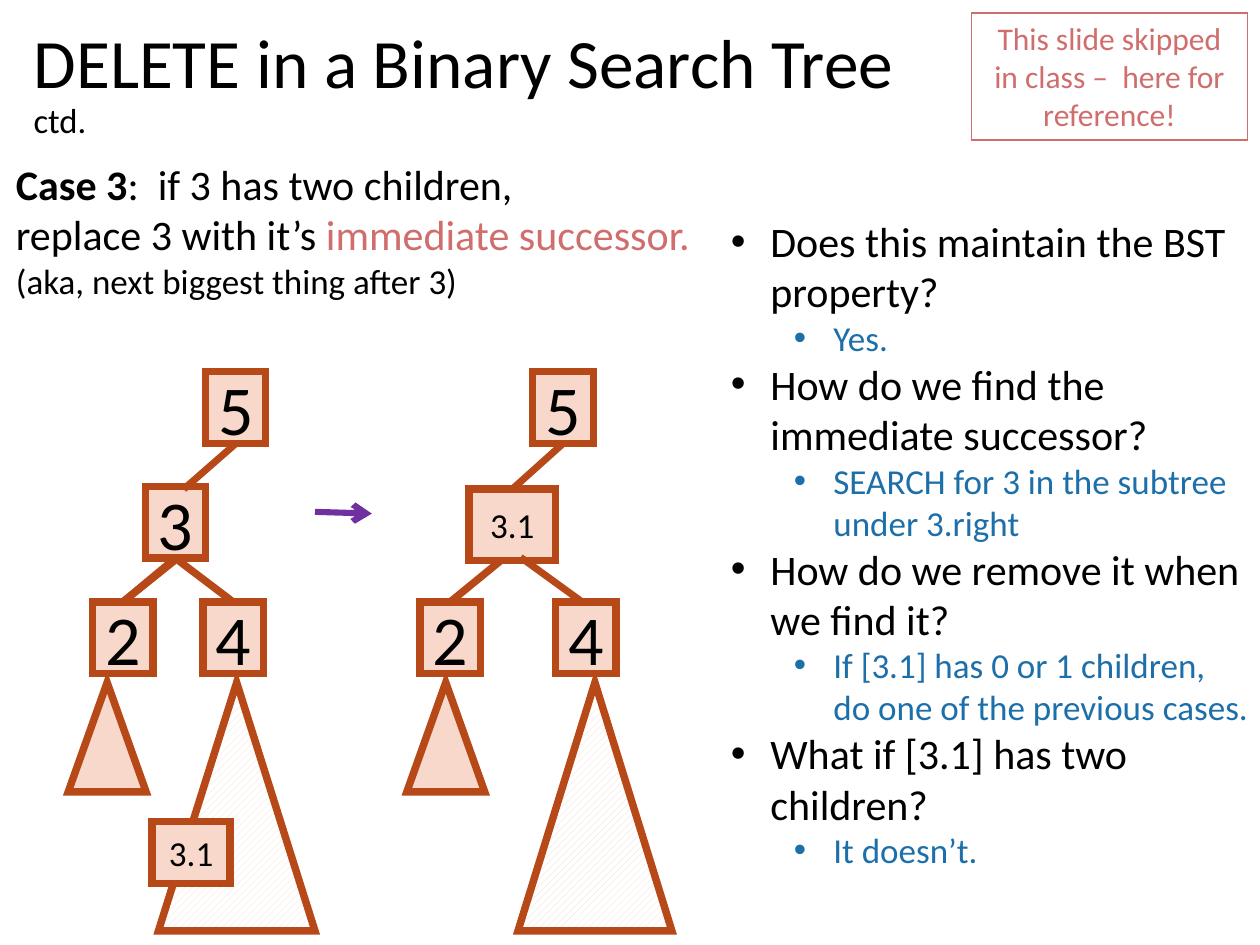
import pptx
import pptx.dml.color
import pptx.enum.dml
import pptx.enum.shapes
import pptx.enum.text
import pptx.oxml.ns
import pptx.util
from lxml import etree

Pt = pptx.util.Pt
SHAPES = pptx.enum.shapes.MSO_SHAPE
ANCHOR = pptx.enum.text.MSO_ANCHOR
ALIGN = pptx.enum.text.PP_ALIGN
AUTO_SIZE = pptx.enum.text.MSO_AUTO_SIZE

FONT = "Calibri"
COLORS = {
    "text": "000000",
    "answer": "1D6FA9",
    "accent": "CF6E6C",
    "node": "F8D8CA",
    "edge": "B74919",
    "arrow": "7030A0",
    "paper": "FFFFFF",
}
NODE_WIDTH, NODE_HEIGHT = 34.5, 41
LEAF_TOP, SUBTREE_TOP = 344, 390
TOP, BOTTOM = 0, 2

QUESTIONS = [
    ("Does this maintain the BST property?", "Yes."),
    ("How do we find the immediate successor?",
     "SEARCH for 3 in the subtree under 3.right"),
    ("How do we remove it when we find it?",
     "If [3.1] has 0 or 1 children, do one of the previous cases."),
    ("What if [3.1] has two children?", "It doesn’t."),
]


def rgb(name):
    return pptx.dml.color.RGBColor.from_string(COLORS[name])


def add_element(parent, tag, **attributes):
    return etree.SubElement(parent, pptx.oxml.ns.qn(tag), attributes)


def write_text(paragraph, text, size=24, color="text", bold=False):
    run = paragraph.add_run()
    run.text = text
    run.font.name = FONT
    run.font.size = Pt(size)
    run.font.bold = bold
    run.font.color.rgb = rgb(color)


def place(shape, left, top, width, height):
    shape.left, shape.top = Pt(left), Pt(top)
    shape.width, shape.height = Pt(width), Pt(height)


def add_outlined(slide, kind, left, top, width, height,
                 line="edge", line_width=4.25):
    shape = slide.shapes.add_shape(kind, Pt(left), Pt(top), Pt(width), Pt(height))
    shape.shadow.inherit = False
    shape.line.color.rgb = rgb(line)
    shape.line.width = Pt(line_width)
    add_element(shape.line._get_or_add_ln(), "a:miter", lim="800000")
    return shape


def fill_solid(shape):
    shape.fill.solid()
    shape.fill.fore_color.rgb = rgb("node")


def add_node(slide, label, left, top, width=NODE_WIDTH, height=NODE_HEIGHT,
             size=40, line_width=4.25):
    node = add_outlined(slide, SHAPES.RECTANGLE, left, top, width, height,
                        line_width=line_width)
    fill_solid(node)
    node.text_frame.vertical_anchor = ANCHOR.MIDDLE
    paragraph = node.text_frame.paragraphs[0]
    paragraph.alignment = ALIGN.CENTER
    write_text(paragraph, label, size=size)
    return node


def add_small_subtree(slide, left):
    fill_solid(add_outlined(slide, SHAPES.ISOSCELES_TRIANGLE,
                            left, SUBTREE_TOP, 44.5, 62.5))


def add_large_subtree(slide, left, width):
    triangle = add_outlined(slide, SHAPES.ISOSCELES_TRIANGLE,
                            left, SUBTREE_TOP, width, 142)
    triangle.fill.patterned()
    triangle.fill.pattern = pptx.enum.dml.MSO_PATTERN.WIDE_UPWARD_DIAGONAL
    triangle.fill.fore_color.rgb = rgb("node")
    triangle.fill.back_color.rgb = rgb("paper")


def add_line(slide, start, end, color="edge", width=4.25):
    """Draw a line; each end is a node (joined bottom to top) or a point."""
    points = [end_point if isinstance(end_point, tuple) else (0, 0)
              for end_point in (start, end)]
    (x1, y1), (x2, y2) = points
    line = slide.shapes.add_connector(
        pptx.enum.shapes.MSO_CONNECTOR.STRAIGHT, Pt(x1), Pt(y1), Pt(x2), Pt(y2))
    line.line.color.rgb = rgb(color)
    line.line.width = Pt(width)
    add_element(line._element.spPr, "a:effectLst")
    if not isinstance(start, tuple):
        line.begin_connect(start, BOTTOM)
    if not isinstance(end, tuple):
        line.end_connect(end, TOP)
    return line


def add_tree_before(slide):
    four = add_node(slide, "4", 116, LEAF_TOP)
    two = add_node(slide, "2", 53, LEAF_TOP)
    three = add_node(slide, "3", 83, 278)
    five = add_node(slide, "5", 117.5, 212.5, line_width=4)
    add_line(slide, three, four)
    add_line(slide, three, two)
    add_line(slide, (99.5, 320.5), two)
    add_line(slide, five, (105, 279.5), width=4)
    add_small_subtree(slide, 39)
    add_large_subtree(slide, 90.5, 89.5)
    add_node(slide, "3.1", 87, 469.5, width=44.5, height=35.5, size=20)


def add_tree_after(slide):
    successor = add_node(slide, "3.1", 268, 279.5, width=49.5, size=20)
    two = add_node(slide, "2", 240, LEAF_TOP)
    five = add_node(slide, "5", 304.5, 212.5, line_width=4)
    add_node(slide, "4", 317.5, LEAF_TOP)
    add_line(slide, (286, 320.5), two)
    add_line(slide, five, successor, width=4)
    add_line(slide, (297.5, 318.5), (332, 343.5), width=4)
    add_small_subtree(slide, 232.5)
    add_large_subtree(slide, 296, 88)


def add_arrow(slide):
    arrow = add_line(slide, (180, 292.5), (212.5, 293.5), color="arrow", width=3.5)
    add_element(arrow.line._get_or_add_ln(), "a:tailEnd", type="arrow")


def fill_title(title):
    place(title, 12, 21.5, 639.5, 53.5)
    frame = title.text_frame
    frame.auto_size = AUTO_SIZE.NONE
    frame.vertical_anchor = ANCHOR.MIDDLE
    paragraph = frame.paragraphs[0]
    paragraph.alignment = ALIGN.LEFT
    paragraph.line_spacing = 0.9
    write_text(paragraph, "DELETE in a Binary Search Tree ", size=39.6)
    paragraph.add_line_break()
    write_text(paragraph, "ctd.", size=19.8)


def add_case(slide):
    box = slide.shapes.add_textbox(Pt(2), Pt(87), Pt(409), Pt(90))
    frame = box.text_frame
    frame.word_wrap = True
    frame.auto_size = AUTO_SIZE.SHAPE_TO_FIT_TEXT
    heading = frame.paragraphs[0]
    write_text(heading, "Case 3", bold=True)
    write_text(heading, ":  if 3 has two children,")
    action = frame.add_paragraph()
    write_text(action, "replace 3 with it’s ")
    write_text(action, "immediate successor.", color="accent")
    write_text(frame.add_paragraph(), "(aka, next biggest thing after 3)", size=20)


def fill_questions(body):
    place(body, 410.5, 119.5, 310.5, 385)
    frame = body.text_frame
    frame.auto_size = AUTO_SIZE.NONE
    items = [item for question, answer in QUESTIONS
             for item in ((question, 0, 24, "text"), (answer, 1, 20, "answer"))]
    for index, (text, level, size, color) in enumerate(items):
        paragraph = frame.add_paragraph() if index else frame.paragraphs[0]
        paragraph.level = level
        paragraph.space_before = Pt(0)
        properties = paragraph._p.get_or_add_pPr()
        properties.set("marL", str(Pt(22.5 + 36 * level)))
        properties.set("indent", str(Pt(-22.5)))
        add_element(properties, "a:buFont", typeface="Arial")
        add_element(properties, "a:buChar", char="•")
        write_text(paragraph, text, size=size, color=color)


def add_note(slide):
    note = add_outlined(slide, SHAPES.RECTANGLE, 555, 7.5, 158, 72.5,
                        line="accent", line_width=0.75)
    note.fill.background()
    note.text_frame.vertical_anchor = ANCHOR.TOP
    note.text_frame.auto_size = AUTO_SIZE.SHAPE_TO_FIT_TEXT
    paragraph = note.text_frame.paragraphs[0]
    paragraph.alignment = ALIGN.CENTER
    write_text(paragraph, "This slide skipped in class –  here for reference!",
               size=18, color="accent")


def main():
    presentation = pptx.Presentation()
    presentation.slide_width, presentation.slide_height = Pt(720), Pt(540)
    slide = presentation.slides.add_slide(presentation.slide_layouts[1])
    fill_title(slide.shapes.title)
    fill_questions(slide.placeholders[1])
    add_tree_before(slide)
    add_tree_after(slide)
    add_arrow(slide)
    add_case(slide)
    add_note(slide)
    presentation.save("out.pptx")


if __name__ == "__main__":
    main()
